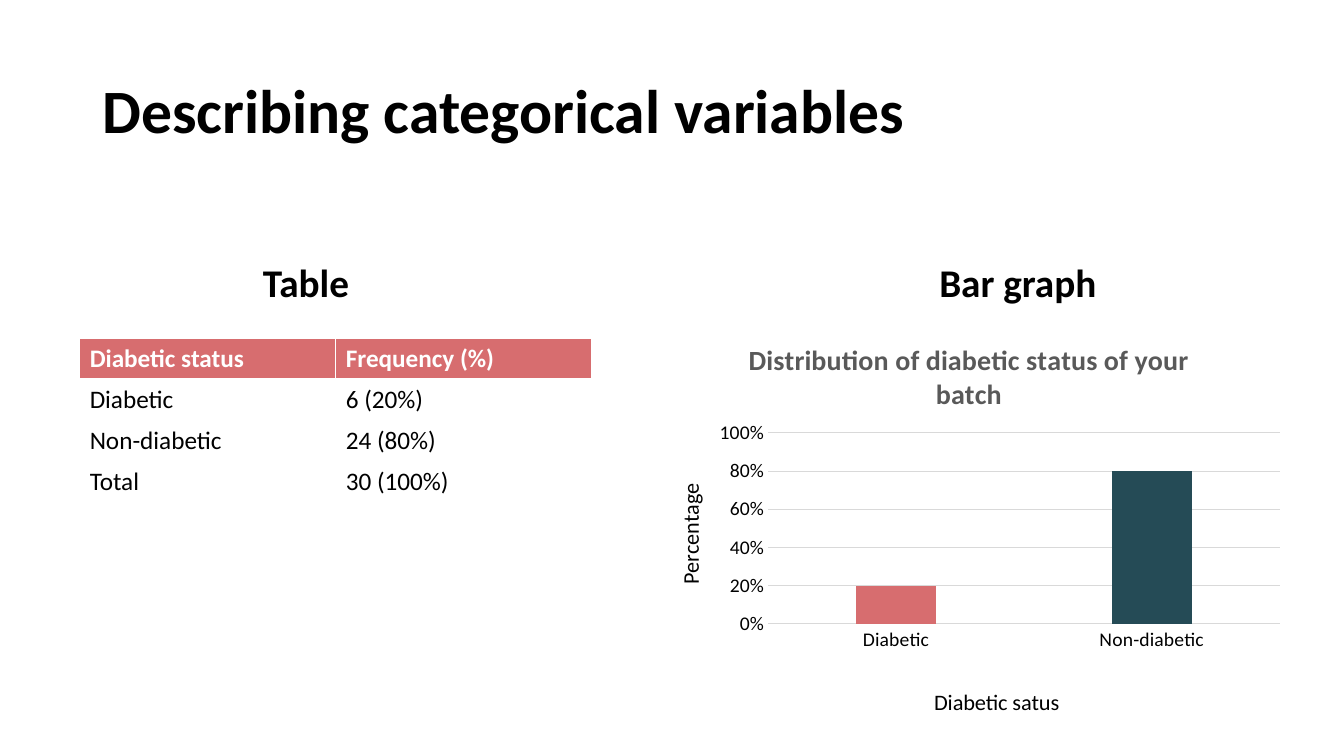
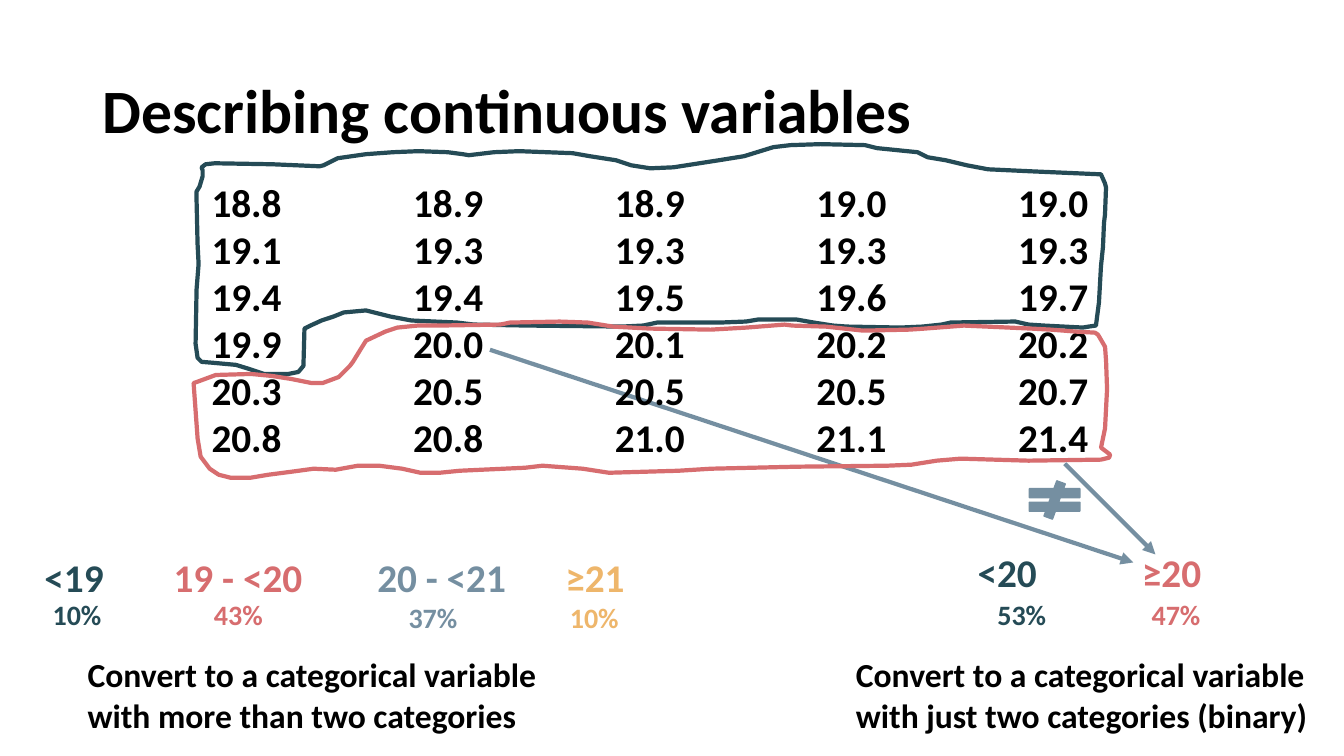
from pptx import Presentation
from pptx.chart.data import CategoryChartData
from pptx.dml.color import RGBColor
from pptx.enum.chart import XL_CHART_TYPE, XL_TICK_MARK
from pptx.enum.shapes import MSO_CONNECTOR, MSO_SHAPE
from pptx.enum.text import MSO_ANCHOR, PP_ALIGN
from pptx.oxml.ns import qn
from pptx.util import Inches, Pt
from lxml.etree import SubElement

BLACK, WHITE, GRID, GREY = "000000", "FFFFFF", "D9D9D9", "595959"
TEAL, RED, SLATE, GOLD = "254B56", "D76D6F", "758FA1", "EEB66B"
FONT = "Calibri"


def rgb(value):
    return RGBColor.from_string(value)


def set_font(font, size, color=BLACK, bold=False):
    font.name, font.size, font.bold = FONT, Pt(size), bold
    font.color.rgb = rgb(color)


def set_layout(parent, index, **fractions):
    """Place a chart part by fractions of the chart area."""
    for old in parent.findall(qn("c:layout")):
        parent.remove(old)
    layout = parent.makeelement(qn("c:layout"), {})
    parent.insert(index, layout)
    manual = SubElement(layout, qn("c:manualLayout"))
    if "w" in fractions:
        SubElement(manual, qn("c:layoutTarget"), val="inner")
    for axis in "xy":
        SubElement(manual, qn(f"c:{axis}Mode"), val="edge")
    for key, value in fractions.items():
        SubElement(manual, qn(f"c:{key}"), val=str(value))


class Deck:
    def __init__(self):
        self.prs = Presentation()
        self.prs.slide_width, self.prs.slide_height = Inches(13.33), Inches(7.5)
        self.s = None

    def slide(self, title):
        self.s = self.prs.slides.add_slide(self.prs.slide_layouts[6])
        tf = self.text([title], 0.92, 0.4, 11.5, 1.45, 44)
        tf.vertical_anchor = MSO_ANCHOR.MIDDLE
        tf.paragraphs[0].line_spacing = 0.9

    def text(self, lines, x, y, w, h, size, color=BLACK, align=None, tabs=()):
        box = self.s.shapes.add_textbox(Inches(x), Inches(y), Inches(w), Inches(h))
        tf = box.text_frame
        tf.word_wrap = True
        for i, line in enumerate(lines):
            p = tf.add_paragraph() if i else tf.paragraphs[0]
            p.alignment = align
            if tabs:
                stops = SubElement(p._p.get_or_add_pPr(), qn("a:tabLst"))
                for tab in tabs:
                    SubElement(stops, qn("a:tab"), pos=str(Inches(tab)), algn="l")
            r = p.add_run()
            r.text = line
            set_font(r.font, size, color, True)
        return tf

    def label(self, text, x, y, w, size=28, color=BLACK):
        self.text([text], x, y, w, size / 50, size, color, PP_ALIGN.CENTER)

    def table(self, rows, x, y, col_w, row_h):
        frame = self.s.shapes.add_table(len(rows), len(rows[0]), Inches(x), Inches(y),
                                        Inches(col_w * len(rows[0])),
                                        Inches(row_h * len(rows)))
        for i, row in enumerate(rows):
            frame.table.rows[i].height = Inches(row_h)
            for j, value in enumerate(row):
                cell = frame.table.cell(i, j)
                for side in ("L", "R", "T", "B"):
                    width = 3 if i == 0 and side == "B" else 1
                    ln = SubElement(cell._tc.get_or_add_tcPr(), qn(f"a:ln{side}"),
                                    w=str(Pt(width)))
                    fill = SubElement(ln, qn("a:solidFill"))
                    SubElement(fill, qn("a:srgbClr"), val=WHITE)
                cell.fill.solid()
                cell.fill.fore_color.rgb = rgb(WHITE if i else RED)
                r = cell.text_frame.paragraphs[0].add_run()
                r.text = value
                set_font(r.font, 18, BLACK if i else WHITE, i == 0)

    def bar_chart(self, title, bars, axis_titles, x, y, w, h):
        data = CategoryChartData(number_format="0%")
        data.categories = [name for name, _, _ in bars]
        data.add_series("Percentage", [value for _, value, _ in bars])
        chart = self.s.shapes.add_chart(XL_CHART_TYPE.COLUMN_CLUSTERED, Inches(x),
                                        Inches(y), Inches(w), Inches(h), data).chart
        set_font(chart.font, 14)
        chart.has_legend = False
        self.chart_title(chart.chart_title, title, 20, GREY, True)

        # Bars
        plot = chart.plots[0]
        plot.gap_width, plot.overlap, plot.vary_by_categories = 219, -27, False
        for i, (_, _, color) in enumerate(bars):
            fill = plot.series[0].points[i].format.fill
            fill.solid()
            fill.fore_color.rgb = rgb(color)
        set_layout(chart._chartSpace.chart.plotArea, 0, x=0.19, y=0.28, w=0.79, h=0.48)

        # Axes
        cat, val = chart.category_axis, chart.value_axis
        places = ((0.44, 0.91), (0.04, 0.4))
        for axis, name, (left, top) in zip((cat, val), axis_titles, places):
            axis.major_tick_mark = axis.minor_tick_mark = XL_TICK_MARK.NONE
            set_font(axis.tick_labels.font, 14)
            self.chart_title(axis.axis_title, name, 16)
            set_layout(axis.axis_title._element, 1, x=left, y=top)
        body = val.axis_title.text_frame._txBody.bodyPr
        body.set("rot", "-5400000")
        body.set("vert", "horz")
        val.minimum_scale, val.maximum_scale, val.major_unit = 0, 1, 0.2
        val.tick_labels.number_format = "0%"
        val.tick_labels.number_format_is_linked = False
        val.format.line.fill.background()
        for line in (cat.format.line, val.major_gridlines.format.line):
            line.color.rgb, line.width = rgb(GRID), Pt(0.75)

    def chart_title(self, title, text, size, color=BLACK, bold=False):
        r = title.text_frame.paragraphs[0].add_run()
        r.text = text
        set_font(r.font, size, color, bold)

    def arrow(self, x1, y1, x2, y2, color):
        line = self.s.shapes.add_connector(MSO_CONNECTOR.STRAIGHT, Inches(x1),
                                           Inches(y1), Inches(x2), Inches(y2))
        line.line.color.rgb, line.line.width = rgb(color), Pt(3)
        SubElement(line.line._get_or_add_ln(), qn("a:tailEnd"), type="triangle")
        SubElement(line._element.spPr, qn("a:effectLst"))

    def not_equal(self, x, y, w, h, color):
        sp = self.s.shapes.add_shape(MSO_SHAPE.MATH_NOT_EQUAL, Inches(x), Inches(y),
                                     Inches(w), Inches(h))
        sp.shadow.inherit = False
        sp.fill.solid()
        sp.fill.fore_color.rgb = sp.line.color.rgb = rgb(color)
        sp.line.width = Pt(1)

    def outline(self, points, color):
        """Draw a closed outline; points are in hundredths of an inch."""
        builder = self.s.shapes.build_freeform(*points[0], scale=Inches(1) / 100)
        builder.add_line_segments(points[1:], close=True)
        sp = builder.convert_to_shape()
        sp.shadow.inherit = False
        sp.fill.background()
        sp.line.color.rgb, sp.line.width = rgb(color), Pt(3)
        SubElement(sp.line._get_or_add_ln(), qn("a:round"))


BELOW_20 = [
    (200, 166), (204, 163), (213, 162), (270, 163), (317, 165), (321, 164), (335, 157),
    (363, 153), (390, 151), (415, 150), (444, 151), (459, 153), (465, 154), (490, 151),
    (515, 150), (568, 152), (585, 155), (611, 159), (626, 164), (645, 167), (668, 166),
    (713, 159), (738, 155), (767, 146), (784, 144), (814, 143), (858, 144), (870, 147),
    (910, 151), (920, 156), (938, 159), (959, 164), (980, 168), (1023, 170), (1092, 173),
    (1096, 182), (1097, 186), (1096, 213), (1095, 221), (1094, 245), (1092, 264),
    (1090, 300), (1087, 323), (1080, 324), (1074, 325), (1035, 323), (1020, 322),
    (1007, 319), (943, 320), (934, 322), (915, 324), (893, 325), (840, 324), (826, 323),
    (807, 320), (790, 317), (768, 317), (752, 317), (740, 319), (715, 320), (652, 320),
    (638, 323), (617, 324), (522, 323), (470, 322), (453, 320), (408, 318), (387, 314),
    (363, 308), (341, 310), (331, 314), (319, 318), (308, 323), (302, 326), (301, 363),
    (296, 369), (286, 371), (262, 371), (247, 366), (234, 362), (212, 360), (200, 359),
    (196, 355), (194, 341), (195, 287), (197, 262), (196, 242), (195, 199), (195, 190),
    (198, 185), (201, 175), (201, 169)]

FROM_20 = [
    (1092, 456), (1100, 454), (1101, 451), (1092, 444), (1096, 425), (1098, 386),
    (1097, 358), (1096, 344), (1089, 332), (1086, 330), (1068, 329), (1042, 327),
    (1023, 326), (956, 323), (917, 326), (902, 327), (856, 328), (819, 324), (786, 323),
    (778, 322), (740, 325), (705, 327), (645, 326), (608, 324), (583, 320), (555, 319),
    (506, 320), (496, 322), (434, 323), (414, 323), (394, 325), (382, 329), (363, 338),
    (358, 346), (350, 359), (347, 363), (336, 374), (320, 380), (309, 380), (289, 376),
    (270, 373), (249, 371), (214, 372), (195, 379), (192, 380), (196, 435), (198, 447),
    (199, 453), (208, 465), (217, 471), (229, 474), (248, 474), (266, 471), (289, 468),
    (311, 465), (333, 466), (355, 462), (376, 462), (399, 465), (417, 469), (436, 469),
    (456, 467), (521, 464), (538, 462), (578, 465), (604, 469), (673, 467), (705, 465),
    (790, 463), (880, 462), (904, 461), (929, 457), (953, 455), (1020, 457)]

AGES = [
    "18.8 18.9 18.9 19.0 19.0", "19.1 19.3 19.3 19.3 19.3",
    "19.4 19.4 19.5 19.6 19.7", "19.9 20.0 20.1 20.2 20.2",
    "20.3 20.5 20.5 20.5 20.7", "20.8 20.8 21.0 21.1 21.4"]

# Group: name, left, top, width; share, left, top; colour
GROUPS = [
    ("<19", 0.2, 5.44, 1.07, "10%", 0.23, 5.88, TEAL),
    ("19 - <20", 1.55, 5.44, 1.62, "43%", 1.83, 5.88, RED),
    ("20 - <21", 3.48, 5.44, 1.8, "37%", 3.76, 5.91, SLATE),
    ("≥21", 5, 5.44, 1.8, "10%", 5.36, 5.91, GOLD),
    ("<20", 9.18, 5.39, 1.62, "53%", 9.6, 5.88, TEAL),
    ("≥20", 10.72, 5.39, 1.8, "47%", 11.13, 5.88, RED)]


def main():
    deck = Deck()

    # Categorical variables
    deck.slide("Describing categorical variables")
    for heading, x in (("Table", 1.67), ("Bar graph", 8.73)):
        deck.label(heading, x, 2.51, 2.73)
    deck.table([("Diabetic status", "Frequency (%)"), ("Diabetic", "6 (20%)"),
                ("Non-diabetic", "24 (80%)"), ("Total", "30 (100%)")],
               0.79, 3.36, 2.54, 0.405)
    deck.bar_chart("Distribution of diabetic status of your batch",
                   [("Diabetic", 0.2, RED), ("Non-diabetic", 0.8, TEAL)],
                   ("Diabetic satus", "Percentage"), 6.4, 3.19, 6.42, 3.99)

    # Continuous variables
    deck.slide("Describing continuous variables")
    for name, x, y, w, share, share_x, share_y, color in GROUPS:
        deck.label(name, x, y, w, color=color)
        deck.label(share, share_x, share_y, 1.07, 20, color)
    for ending, x in (("more than two categories", 0.77),
                      ("just two categories (binary)", 8.39)):
        deck.text([f"Convert to a categorical variable with {ending}"],
                  x, 6.44, 4.81, 0.91, 24)
    deck.arrow(10.56, 4.6, 11.46, 5.5, SLATE)
    deck.arrow(4.86, 3.47, 11.24, 5.58, SLATE)
    deck.not_equal(10.12, 4.77, 0.68, 0.38, SLATE)
    deck.text([row.replace(" ", "\t") for row in AGES], 2, 1.72, 9.46, 2.93, 28,
              tabs=(2, 4, 6, 8))
    deck.outline(BELOW_20, TEAL)
    deck.outline(FROM_20, RED)

    deck.prs.save("out.pptx")


if __name__ == "__main__":
    main()
